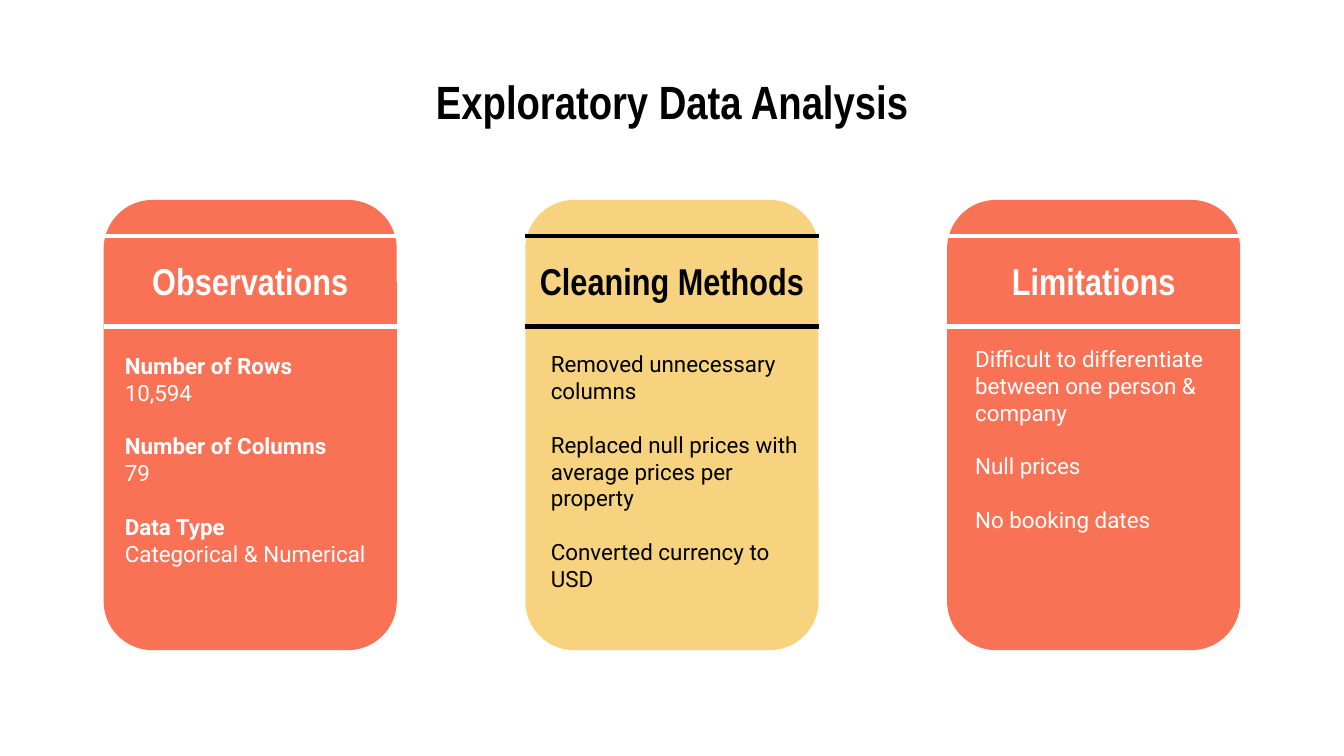
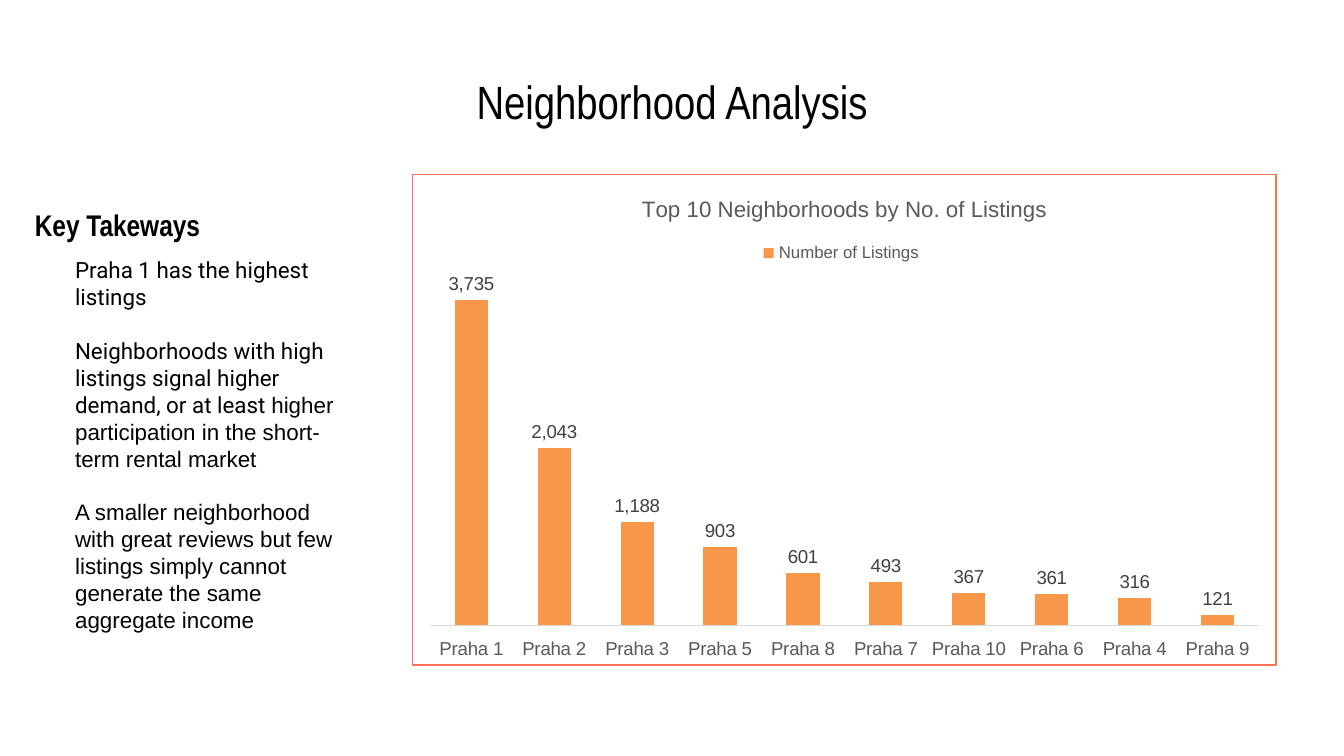
from dataclasses import dataclass

from lxml.etree import SubElement
from pptx import Presentation
from pptx.chart.data import CategoryChartData
from pptx.dml.color import RGBColor
from pptx.enum.chart import XL_CHART_TYPE as ChartType
from pptx.enum.chart import XL_LABEL_POSITION as LabelPosition
from pptx.enum.chart import XL_LEGEND_POSITION as LegendPosition
from pptx.enum.chart import XL_TICK_LABEL_POSITION as TickLabels
from pptx.enum.chart import XL_TICK_MARK as TickMark
from pptx.enum.shapes import MSO_CONNECTOR as Connector
from pptx.enum.shapes import MSO_SHAPE as Shape
from pptx.enum.text import MSO_ANCHOR as Anchor
from pptx.enum.text import MSO_AUTO_SIZE as AutoSize
from pptx.enum.text import PP_ALIGN as Align
from pptx.oxml import parse_xml
from pptx.oxml.ns import nsdecls, qn
from pptx.util import Cm, Pt

COLORS = {
    "black": "000000",
    "white": "FFFFFF",
    "coral": "FA7256",
    "sand": "F7D380",
    "bar": "F89649",
    "chart text": "595959",
    "label": "404040",
    "axis": "D9D9D9",
}
HEADING_FONT, BODY_FONT, CHART_FONT = "Arial Narrow", "Roboto", "Arial"
INSET = 0.25
BODY_SIZE = 12
BLOCK_GAP = 14.4


@dataclass
class Card:
    heading: str
    fill: str
    ink: str
    body_offset: tuple
    blocks: list


CARDS = [
    Card("Observations", "coral", "white", (0.15, 2.62), [
        [("Number of Rows", True), ("10,594", False)],
        [("Number of Columns", True), ("79", False)],
        [("Data Type", True), ("Categorical & Numerical", False)],
    ]),
    Card("Cleaning Methods", "sand", "black", (0.23, 2.59), [
        [("Removed unnecessary columns", False)],
        [("Replaced null prices with average prices per property", False)],
        [("Converted currency to USD", False)],
    ]),
    Card("Limitations", "coral", "white", (0.28, 2.49), [
        [("Difficult to differentiate between one person & company", False)],
        [("Null prices", False)],
        [("No booking dates", False)],
    ]),
]

TAKEAWAYS = [
    [("Praha 1 has the highest listings", BODY_FONT)],
    [("Neighborhoods with high listings signal higher demand, or at least higher ".removesuffix("higher "), BODY_FONT),
     ("higher participation in the short-term rental market", CHART_FONT)],
    [("A smaller neighborhood with great reviews but few listings simply "
      "cannot generate the same aggregate income", CHART_FONT)],
]

LISTINGS = {
    "Praha 1": 3735, "Praha 2": 2043, "Praha 3": 1188, "Praha 5": 903,
    "Praha 8": 601, "Praha 7": 493, "Praha 10": 367, "Praha 6": 361,
    "Praha 4": 316, "Praha 9": 121,
}


def rgb(name):
    return RGBColor.from_string(COLORS[name])


def style_font(font, name, size, color, bold=False):
    font.name, font.size, font.bold = name, Pt(size), bold
    font.color.rgb = rgb(color)


def prepare_frame(frame, anchor=Anchor.TOP):
    frame.word_wrap = True
    frame.auto_size = AutoSize.NONE
    frame.vertical_anchor = anchor
    frame.margin_left = frame.margin_right = Cm(INSET)
    frame.margin_top = frame.margin_bottom = Cm(INSET)


def add_text_box(shapes, left, top, width, height, anchor=Anchor.TOP):
    box = shapes.add_textbox(Cm(left), Cm(top), Cm(width), Cm(height))
    prepare_frame(box.text_frame, anchor)
    return box.text_frame


def write_heading(frame, text, size, color, align, bold=True):
    frame.text = text
    paragraph = frame.paragraphs[0]
    paragraph.alignment = align
    style_font(paragraph.runs[0].font, HEADING_FONT, size, color, bold)


def write_blocks(frame, blocks, color):
    """Write blocks of lines with a gap between blocks; a line lists (text, font, bold) runs."""
    paragraph = None
    for block in blocks:
        for number, line in enumerate(block):
            first = paragraph is None
            paragraph = frame.paragraphs[0] if first else frame.add_paragraph()
            paragraph.alignment = Align.LEFT
            if number == 0 and not first:
                paragraph.space_before = Pt(BLOCK_GAP)
            for text, font_name, bold in line:
                run = paragraph.add_run()
                run.text = text
                style_font(run.font, font_name, BODY_SIZE, color, bold)


def add_titled_slide(presentation, title, bold):
    slide = presentation.slides.add_slide(presentation.slide_layouts[5])
    shape = slide.shapes.title
    shape.left, shape.top, shape.width, shape.height = Cm(1.27), Cm(1.24), Cm(22.86), Cm(1.45)
    prepare_frame(shape.text_frame, Anchor.BOTTOM)
    write_heading(shape.text_frame, title, 25, "black", Align.CENTER, bold)
    return slide


def add_rule(shapes, left, top, width, color):
    rule = shapes.add_connector(Connector.STRAIGHT, Cm(left), Cm(top), Cm(left + width), Cm(top))
    rule.line.color.rgb = rgb(color)
    rule.line.width = Pt(2.25)
    SubElement(rule.element.spPr, qn("a:effectLst"))


def add_card(slide, card, left, top, width, height):
    shapes = slide.shapes.add_group_shape().shapes
    panel = shapes.add_shape(Shape.ROUNDED_RECTANGLE, Cm(left), Cm(top), Cm(width), Cm(height))
    panel.shadow.inherit = False
    panel.fill.solid()
    panel.fill.fore_color.rgb = rgb(card.fill)
    panel.line.fill.background()

    offset_x, offset_y = card.body_offset
    body = add_text_box(shapes, left + offset_x, top + offset_y,
                        width - offset_x, height - offset_y)
    write_blocks(body, [[[(text, BODY_FONT, bold)] for text, bold in block]
                        for block in card.blocks], card.ink)

    heading = add_text_box(shapes, left, top + 0.69, width, 1.68, Anchor.MIDDLE)
    write_heading(heading, card.heading, 20, card.ink, Align.CENTER)
    for offset in (0.68, 2.39):
        add_rule(shapes, left, top + offset, width, card.ink)


def add_takeaways(slide, left, top, width, height):
    heading_height = 0.94
    heading = add_text_box(slide.shapes, left, top, width, heading_height)
    write_heading(heading, "Key Takeways", 16, "black", Align.LEFT)
    indent = 0.76
    body = add_text_box(slide.shapes, left + indent, top + heading_height,
                        width - indent, height - heading_height)
    write_blocks(body, [[[(text, font, False) for text, font in runs]]
                        for runs in TAKEAWAYS], "black")


def set_layout(parent, position, **values):
    """Place a chart part by fractions of the chart's size."""
    for old in parent.findall(qn("c:layout")):
        parent.remove(old)
    fields = "".join(f'<c:{key} val="{value}"/>' for key, value in values.items())
    parent.insert(position, parse_xml(
        f'<c:layout {nsdecls("c")}><c:manualLayout>{fields}</c:manualLayout></c:layout>'))


def add_border(chart, color):
    chart.element.find(qn("c:chart")).addnext(parse_xml(
        f'<c:spPr {nsdecls("c", "a")}><a:noFill/><a:ln w="{Pt(1)}"><a:solidFill>'
        f'<a:srgbClr val="{COLORS[color]}"/></a:solidFill></a:ln></c:spPr>'))


def style_axes(chart):
    category_axis, value_axis = chart.category_axis, chart.value_axis
    category_axis.major_tick_mark = category_axis.minor_tick_mark = TickMark.NONE
    category_axis.tick_label_position = TickLabels.LOW
    category_axis.format.line.color.rgb = rgb("axis")
    category_axis.format.line.width = Pt(0.75)
    style_font(category_axis.tick_labels.font, CHART_FONT, 10, "chart text")
    value_axis.has_major_gridlines = False
    value_axis.minimum_scale, value_axis.maximum_scale = 0, 4000
    value_axis.visible = False


def style_columns(plot):
    plot.gap_width, plot.overlap, plot.vary_by_categories = 150, -25, False
    fill = plot.series[0].format.fill
    fill.solid()
    fill.fore_color.rgb = rgb("bar")
    plot.has_data_labels = True
    labels = plot.data_labels
    labels.show_value = True
    labels.position = LabelPosition.OUTSIDE_END
    labels.number_format, labels.number_format_is_linked = "#,##0", False
    style_font(labels.font, CHART_FONT, 10, "label")


def add_listings_chart(slide, left, top, width, height):
    data = CategoryChartData(number_format="#,##0")
    data.categories = LISTINGS.keys()
    data.add_series("Number of Listings", LISTINGS.values())
    chart = slide.shapes.add_chart(ChartType.COLUMN_CLUSTERED, Cm(left), Cm(top),
                                   Cm(width), Cm(height), data).chart
    style_font(chart.font, CHART_FONT, 10, "black")
    add_border(chart, "coral")

    chart.has_title = True
    title = chart.chart_title.text_frame
    title.text = "Top 10 Neighborhoods by No. of Listings"
    style_font(title.paragraphs[0].runs[0].font, CHART_FONT, 12, "chart text")

    chart.has_legend = True
    chart.legend.position = LegendPosition.TOP
    chart.legend.include_in_layout = False
    style_font(chart.legend.font, CHART_FONT, 9, "chart text")

    style_axes(chart)
    style_columns(chart.plots[0])
    chart_element = chart.element.find(qn("c:chart"))
    set_layout(chart_element.find(qn("c:plotArea")), 0, layoutTarget="inner",
               xMode="edge", yMode="edge", x=0.02, y=0.21, w=0.96, h=0.71)
    set_layout(chart_element.find(qn("c:legend")), 1,
               xMode="edge", yMode="edge", x=0.4, y=0.13)


def build_exploratory_slide(presentation):
    slide = add_titled_slide(presentation, "Exploratory Data Analysis", bold=True)
    for index, card in enumerate(CARDS):
        add_card(slide, card, 1.96 + 7.97 * index, 3.78, 5.54, 8.51)


def build_neighborhood_slide(presentation):
    slide = add_titled_slide(presentation, "Neighborhood Analysis", bold=False)
    add_takeaways(slide, 0.41, 3.66, 6.25, 8.94)
    add_listings_chart(slide, 7.78, 3.28, 16.36, 9.3)


def main():
    presentation = Presentation()
    presentation.slide_width, presentation.slide_height = Cm(25.4), Cm(14.29)
    build_exploratory_slide(presentation)
    build_neighborhood_slide(presentation)
    presentation.save("out.pptx")


if __name__ == "__main__":
    main()
